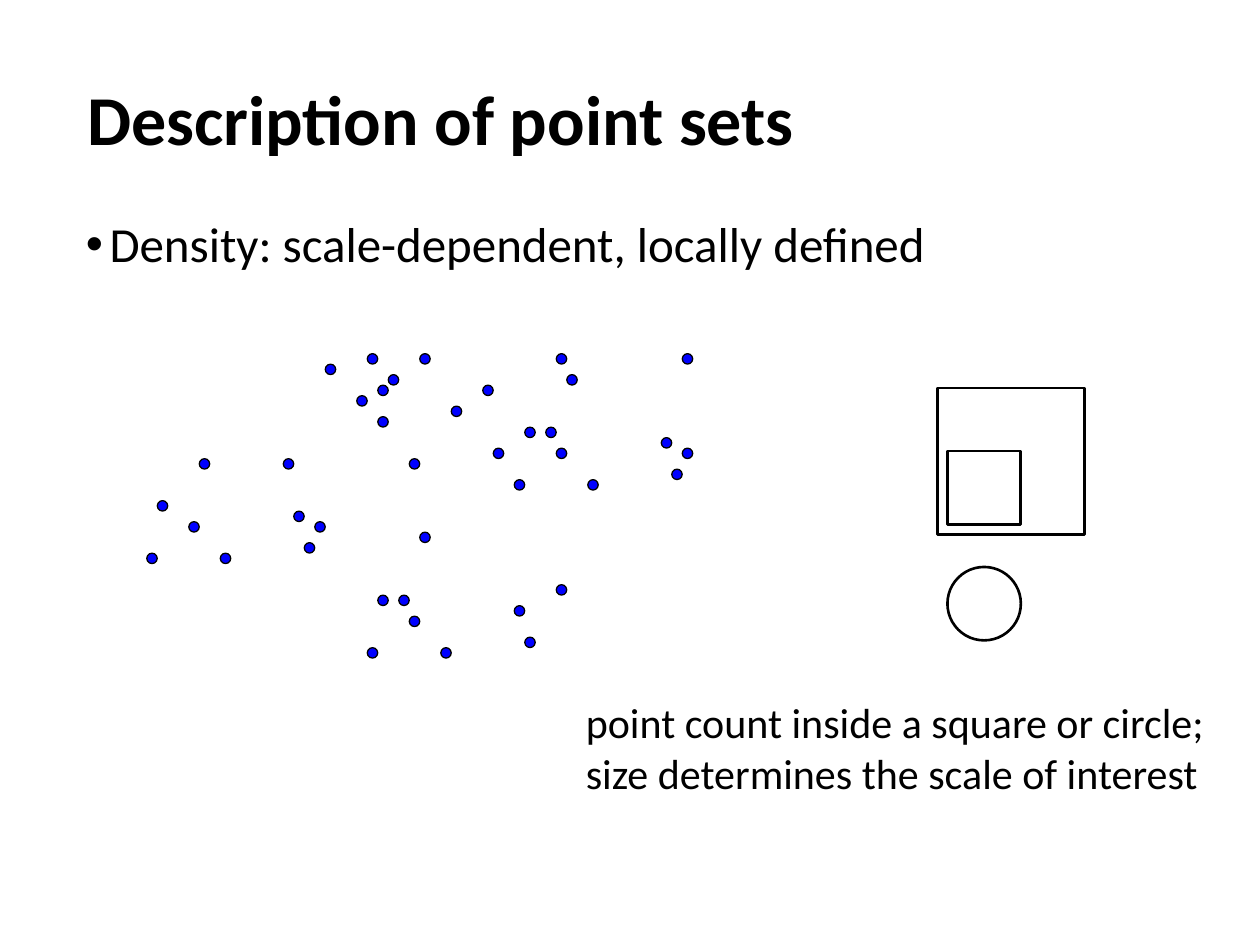
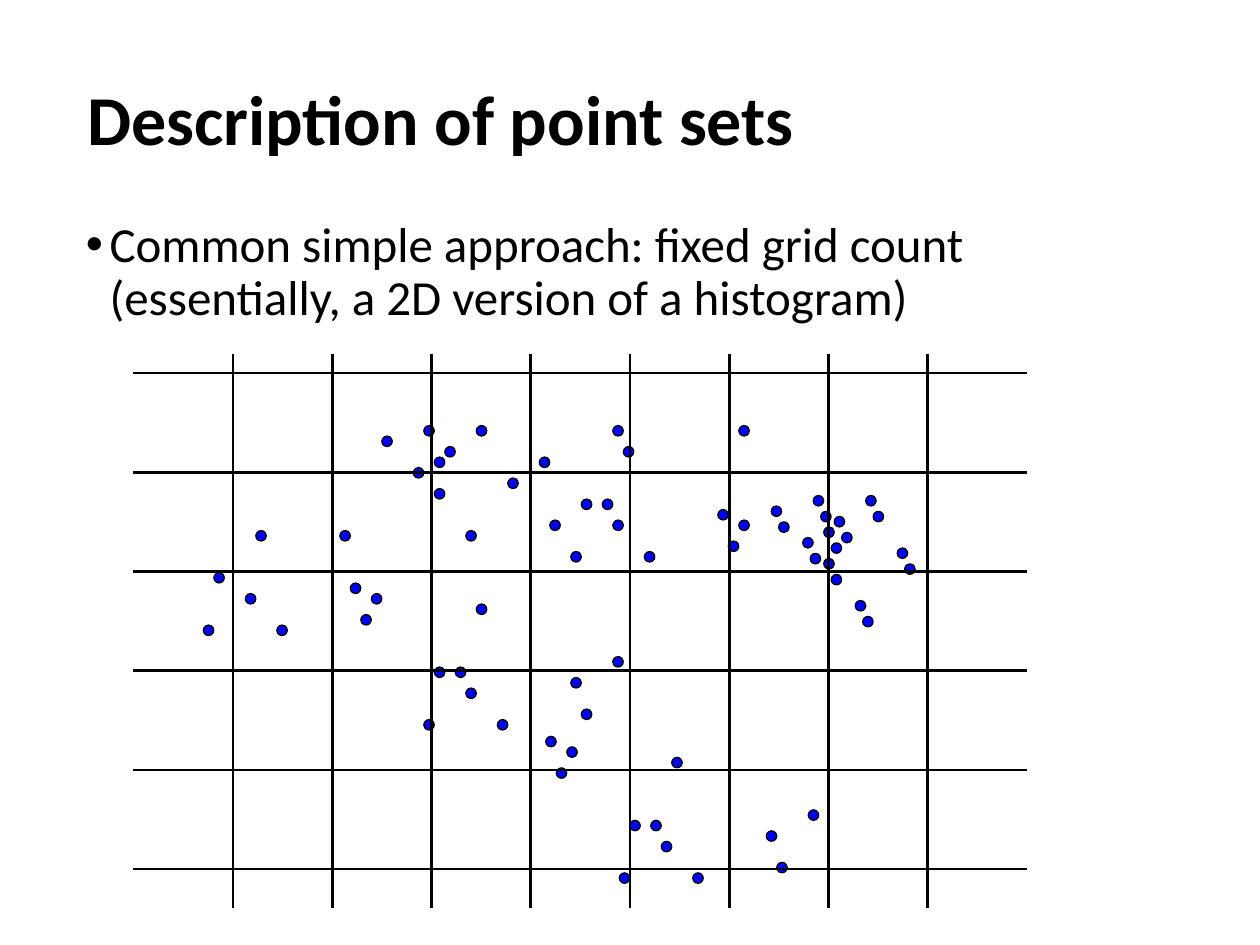
from dataclasses import dataclass

import pptx
import pptx.dml.color
import pptx.enum.shapes
import pptx.enum.text
import pptx.oxml
import pptx.oxml.ns
import pptx.util

Cm = pptx.util.Cm
Pt = pptx.util.Pt
MSO_SHAPE = pptx.enum.shapes.MSO_SHAPE


@dataclass(frozen=True)
class Theme:
    font: str = "Calibri"
    ink: str = "000000"
    dot: str = "0000FF"
    title_size: int = 40
    body_size: int = 28
    caption_size: int = 24
    thin: float = 0.75
    thick: float = 1.5


THEME = Theme()
TITLE = "Description of point sets"

# Dots sit on a lattice of twelfths of an inch, given as (column, row)
LATTICE = Cm(2.54) / 12
DOT = Cm(0.21)
NORTH_CLUSTER = [(21, 0), (20, 4), (17, 1), (25, 10), (23, 2), (22, 6),
                 (29, 5), (26, 0), (22, 3)]
SOUTH_CLUSTER = [(26, 17), (16, 16), (15, 18), (14, 15), (24, 23), (39, 22),
                 (25, 25), (28, 28), (36, 27), (35, 24), (22, 23), (21, 28)]
SCATTERED = [(39, 0), (38, 7), (51, 9), (51, 0), (13, 10), (39, 9), (42, 12),
             (33, 9), (50, 11), (40, 2), (49, 8), (32, 3), (36, 7), (35, 12),
             (5, 10), (4, 16), (7, 19), (1, 14), (0, 19)]
POINT_SET = NORTH_CLUSTER + SOUTH_CLUSTER + SCATTERED


def color(value):
    return pptx.dml.color.RGBColor.from_string(value)


def format_runs(p, size, bold=False):
    for r in p.runs:
        r.font.name = THEME.font
        r.font.size = Pt(size)
        r.font.bold = bold
        r.font.color.rgb = color(THEME.ink)


def add_titled_slide(prs):
    s = prs.slides.add_slide(prs.slide_layouts[5])
    sp = s.shapes.title
    sp.left, sp.top, sp.width, sp.height = Cm(1.5), Cm(0.64), Cm(21.9), Cm(3.68)
    tf = sp.text_frame
    tf.text = TITLE
    tf.word_wrap = True
    tf.auto_size = pptx.enum.text.MSO_AUTO_SIZE.NONE
    tf.vertical_anchor = pptx.enum.text.MSO_ANCHOR.MIDDLE
    p = tf.paragraphs[0]
    p.alignment = pptx.enum.text.PP_ALIGN.LEFT
    p.line_spacing = 0.9
    format_runs(p, THEME.title_size, bold=True)
    return s


def add_text(s, text, left, top, width, height, size):
    tf = s.shapes.add_textbox(Cm(left), Cm(top), Cm(width), Cm(height)).text_frame
    tf.word_wrap = True
    tf.text = text
    for p in tf.paragraphs:
        format_runs(p, size)
    return tf


def add_bullet(s, text, height):
    tf = add_text(s, text, 1.48, 4.32, 22.43, height, THEME.body_size)
    p = tf.paragraphs[0]
    p.line_spacing = 0.9
    p.space_before = Pt(7.5)
    pPr = p._p.get_or_add_pPr()
    pPr.set("marL", str(Cm(0.48)))
    pPr.set("indent", str(-Cm(0.48)))
    ns = pptx.oxml.ns.nsdecls("a")
    pPr.append(pptx.oxml.parse_xml(f'<a:buFont {ns} typeface="Arial"/>'))
    pPr.append(pptx.oxml.parse_xml(f'<a:buChar {ns} char="•"/>'))


def add_outline(s, kind, left, top, width, height, weight, fill=None):
    sp = s.shapes.add_shape(kind, left, top, width, height)
    sp.shadow.inherit = False
    sp.line.color.rgb = color(THEME.ink)
    sp.line.width = Pt(weight)
    if fill:
        sp.fill.solid()
        sp.fill.fore_color.rgb = color(fill)
    else:
        sp.fill.background()


def add_dots(s, points, left, top):
    for col, row in points:
        add_outline(s, MSO_SHAPE.OVAL, round(Cm(left) + col * LATTICE),
                    round(Cm(top) + row * LATTICE), DOT, DOT, THEME.thin, THEME.dot)


def add_window(s, kind, left, top, size):
    add_outline(s, kind, Cm(left), Cm(top), Cm(size), Cm(size), THEME.thick)


def add_line(s, x1, y1, x2, y2):
    line = s.shapes.add_connector(pptx.enum.shapes.MSO_CONNECTOR.STRAIGHT,
                                  Cm(x1), Cm(y1), Cm(x2), Cm(y2))
    line.line.color.rgb = color(THEME.ink)
    line.line.width = Pt(THEME.thick)
    ns = pptx.oxml.ns.nsdecls("a")
    line._element.spPr.append(pptx.oxml.parse_xml(f"<a:effectLst {ns}/>"))


def add_count_grid(s, rows=6, cols=8, cell=2):
    for i in range(rows):
        y = 7.52 + i * cell
        add_line(s, 2.69, y, 20.7, y)
    for i in range(cols):
        x = 4.7 + i * cell
        add_line(s, x, 7.14, x, 18.31)


def build_density(prs):
    s = add_titled_slide(prs)
    add_bullet(s, "Density: scale-dependent, locally defined", 2.34)
    add_dots(s, POINT_SET, 2.96, 7.13)

    # Counting windows
    add_window(s, MSO_SHAPE.RECTANGLE, 19.1, 9.09, 1.48)
    add_window(s, MSO_SHAPE.OVAL, 19.1, 11.43, 1.48)
    add_window(s, MSO_SHAPE.RECTANGLE, 18.9, 7.82, 2.96)
    add_text(s, "point count inside a square or circle;\n"
             "size determines the scale of interest",
             11.56, 13.92, 13.34, 2.31, THEME.caption_size)


def build_grid_count(prs):
    s = add_titled_slide(prs)
    add_bullet(s, "Common simple approach: fixed grid count\v"
               "(essentially, a 2D version of a histogram)", 4.39)

    # The same point set, with extra copies of its clusters
    add_dots(s, POINT_SET, 4.1, 8.58)
    add_dots(s, SOUTH_CLUSTER, 8.04, 11.67)
    add_dots(s, NORTH_CLUSTER, 11.95, 9.99)
    add_dots(s, NORTH_CLUSTER, 12.1, 10.31)
    add_count_grid(s)


def main():
    prs = pptx.Presentation()
    prs.slide_width, prs.slide_height = Cm(25.4), Cm(19.05)
    build_density(prs)
    build_grid_count(prs)
    prs.save("out.pptx")


if __name__ == "__main__":
    main()
